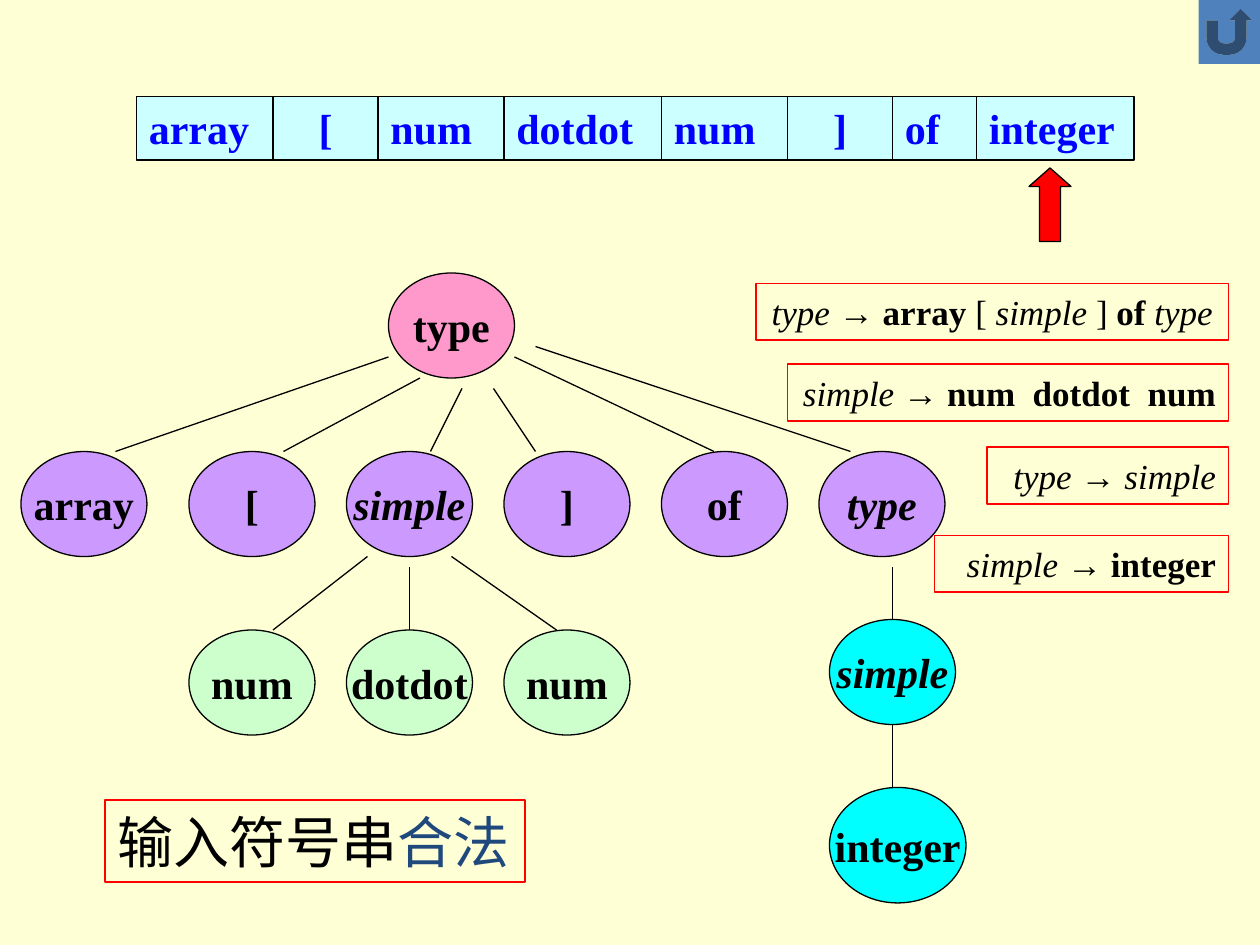
from lxml.etree import SubElement
from pptx import Presentation
from pptx.dml.color import RGBColor
from pptx.enum.shapes import MSO_CONNECTOR, MSO_SHAPE
from pptx.enum.text import MSO_ANCHOR, PP_ALIGN
from pptx.oxml.ns import qn
from pptx.util import Pt

CREAM = RGBColor(0xFF, 0xFF, 0xD5)
BLACK = RGBColor(0, 0, 0)
RED = RGBColor(0xFF, 0, 0)
BLUE = RGBColor(0, 0, 0xFF)
NAVY = RGBColor(0x1F, 0x49, 0x7D)
STEEL = RGBColor(0x4F, 0x81, 0xBD)
PALE_CYAN = RGBColor(0xCC, 0xFF, 0xFF)
CYAN = RGBColor(0, 0xFF, 0xFF)
PINK = RGBColor(0xFF, 0x99, 0xCC)
VIOLET = RGBColor(0xCC, 0x99, 0xFF)
GREEN = RGBColor(0xCC, 0xFF, 0xCC)

deck = Presentation()
deck.slide_width, deck.slide_height = Pt(720), Pt(540)
slide = deck.slides.add_slide(deck.slide_layouts[6])
slide.background.fill.solid()
slide.background.fill.fore_color.rgb = CREAM


def add_figure(kind, left, top, width, height, fill=None, line=None, line_width=0.75):
    """Add a shadowless shape; no fill or line colour means none is drawn."""
    shape = slide.shapes.add_shape(kind, Pt(left), Pt(top), Pt(width), Pt(height))
    shape.shadow.inherit = False
    if fill is None:
        shape.fill.background()
    else:
        shape.fill.solid()
        shape.fill.fore_color.rgb = fill
    if line is None:
        shape.line.fill.background()
    else:
        shape.line.color.rgb = line
        shape.line.width = Pt(line_width)
    return shape


def write(shape, runs, size, align=PP_ALIGN.CENTER, wrap=True, color=BLACK,
          font="Times New Roman"):
    """Write (text, style) runs, where style may hold b for bold and i for italic."""
    frame = shape.text_frame
    frame.word_wrap = wrap
    frame.vertical_anchor = MSO_ANCHOR.MIDDLE
    para = frame.paragraphs[0]
    para.alignment = align
    for text, style in runs:
        span = para.add_run()
        span.text = text
        span.font.name = font
        span.font.size = Pt(size)
        span.font.bold = "b" in style
        span.font.italic = "i" in style
        span.font.color.rgb = color
    return para


# Input tokens, side by side
left = 78
for token, width in [("array", 78), ("[", 60), ("num", 72), ("dotdot", 90),
                     ("num", 72), ("]", 60), ("of", 48), ("integer", 90)]:
    box = add_figure(MSO_SHAPE.RECTANGLE, left, 55, width, 36.5, PALE_CYAN, BLACK)
    align = PP_ALIGN.CENTER if token in "[]" else PP_ALIGN.LEFT
    write(box, [(token, "b")], 24, align, color=BLUE)
    left += width

pointer = add_figure(MSO_SHAPE.UP_ARROW, 588, 96, 24, 42, RED, BLACK)
pointer.adjustments[0] = 0.5
pointer.adjustments[1] = 0.44

# Parse tree: nodes, then branches
NODE_WIDTH, NODE_HEIGHT = 72, 60
nodes = [("type", "b", 222, 156, PINK), ("array", "b", 12, 258, VIOLET),
         ("[", "b", 108, 258, VIOLET)]
for column, (label, style) in enumerate(
        [("simple", "bi"), ("]", "b"), ("of", "b"), ("type", "bi")]):
    nodes.append((label, style, 198 + 90 * column, 258, VIOLET))
for column, label in enumerate(["num", "dotdot", "num"]):
    nodes.append((label, "b", 108 + 90 * column, 360, GREEN))
nodes.append(("simple", "bi", 474, 354, CYAN))

for label, style, left, top, fill in nodes:
    node = add_figure(MSO_SHAPE.OVAL, left, top, NODE_WIDTH, NODE_HEIGHT, fill, BLACK)
    write(node, [(label, style)], 24, wrap=False)
last_node = add_figure(MSO_SHAPE.OVAL, 474, 450, 78, 66, CYAN, BLACK)
write(last_node, [("integer", "b")], 24, wrap=False)

branches = [
    (222, 204, 66, 258), (240, 216, 162, 258), (264, 222, 246, 258),
    (282, 222, 306, 258), (294, 204, 408, 258), (306, 198, 486, 258),
    (210, 318, 156, 360), (234, 324, 234, 360), (258, 318, 318, 360),
    (510, 324, 510, 354), (510, 414, 510, 450),
]
for ends in branches:
    branch = slide.shapes.add_connector(MSO_CONNECTOR.STRAIGHT, *map(Pt, ends))
    branch.line.color.rgb = BLACK
    branch.line.width = Pt(0.75)
    SubElement(branch._element.spPr, qn("a:effectLst"))

# Grammar rules, flush at the right
RULES_RIGHT = 702
rules = [
    (162, 270, PP_ALIGN.CENTER,
     [("type ", "i"), ("→", ""), (" array ", "b"), ("[", ""), (" simple ", "i"),
      ("] ", ""), ("of ", "b"), ("type", "i")]),
    (208, 252, PP_ALIGN.RIGHT,
     [("simple ", "i"), ("→ ", ""), ("num  dotdot  num", "b")]),
    (255.5, 138, PP_ALIGN.RIGHT, [("type ", "i"), ("→ ", ""), ("simple", "i")]),
    (306, 168, PP_ALIGN.RIGHT, [("simple ", "i"), ("→ ", ""), ("integer", "b")]),
]
for top, width, align, runs in rules:
    box = add_figure(MSO_SHAPE.RECTANGLE, RULES_RIGHT - width, top, width, 32.5,
                     line=RED, line_width=1)
    write(box, runs, 20, align)

# Verdict
verdict = add_figure(MSO_SHAPE.RECTANGLE, 60, 457, 240, 47, line=RED, line_width=1)
para = write(verdict, [("输入符号串", ""), ("合法", "")], 32, PP_ALIGN.LEFT,
             font="Noto Sans CJK SC")
para.runs[1].font.color.rgb = NAVY
for span in para.runs:
    SubElement(span._r.get_or_add_rPr(), qn("a:ea"), typeface="Noto Sans CJK SC")

add_figure(MSO_SHAPE.ACTION_BUTTON_RETURN, 685, 0, 35, 36.5, STEEL)

deck.save("out.pptx")
